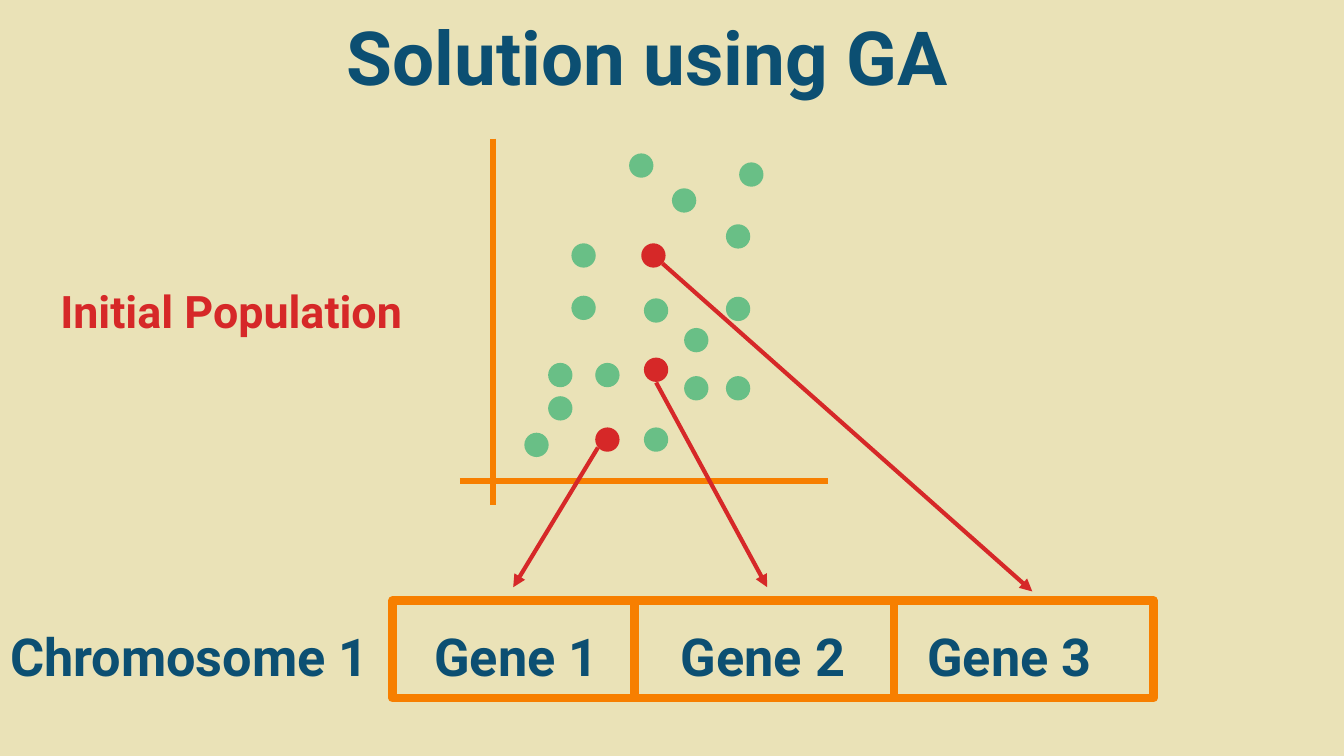
from dataclasses import dataclass

from lxml import etree
from pptx import Presentation
from pptx import util as u
from pptx.dml.color import RGBColor
from pptx.enum import shapes, text
from pptx.oxml.ns import qn


@dataclass(frozen=True)
class Theme:
    background: str = "EAE2B7"
    navy: str = "0C4F72"
    red: str = "D62828"
    green: str = "69BF86"
    orange: str = "F77F00"
    font: str = "Roboto"
    title: int = 40
    label: int = 28
    note: int = 24
    axis: float = 3
    frame: float = 4.5
    arrow: float = 2.25


T = Theme()
DOT = 0.46

# Left and top of each dot, in cm
POPULATION = [
    (9.91, 8.18), (10.36, 7.49), (10.36, 6.86), (11.25, 6.86),
    (12.17, 8.08), (12.17, 5.64), (10.8, 5.59), (10.8, 4.6),
    (12.93, 6.2), (12.93, 7.11), (13.72, 7.11), (13.72, 5.61),
    (13.72, 4.24), (12.7, 3.56), (13.97, 3.07), (11.89, 2.9),
]
SELECTED = [(11.25, 8.08), (12.17, 6.76), (12.12, 4.6)]

# Start and end of the arrow from each selected dot to its gene
GENE_ARROWS = [
    (11.3, 8.46, 9.7, 11.1),
    (12.4, 7.23, 14.5, 11.1),
    (12.52, 4.98, 19.51, 11.18),
]


def rgb(color):
    return RGBColor.from_string(color)


def add_text(s, words, box, *, size=T.label, color=T.navy):
    sp = s.shapes.add_textbox(*map(u.Cm, box))
    tf = sp.text_frame
    tf.word_wrap = True
    tf.vertical_anchor = text.MSO_ANCHOR.BOTTOM
    tf.margin_left = tf.margin_right = u.Cm(0.25)
    tf.margin_top = tf.margin_bottom = u.Cm(0.25)
    p = tf.paragraphs[0]
    p.alignment = text.PP_ALIGN.CENTER
    r = p.add_run()
    r.text = words
    r.font.name = T.font
    r.font.size = u.Pt(size)
    r.font.bold = True
    r.font.color.rgb = rgb(color)


def add_dot(s, left, top, color):
    sp = s.shapes.add_shape(shapes.MSO_SHAPE.OVAL, u.Cm(left), u.Cm(top),
                            u.Cm(DOT), u.Cm(DOT))
    sp.shadow.inherit = False
    sp.fill.solid()
    sp.fill.fore_color.rgb = rgb(color)
    sp.line.fill.background()


def add_line(s, ends, color, width, arrow=False):
    line = s.shapes.add_connector(shapes.MSO_CONNECTOR.STRAIGHT,
                                  *map(u.Cm, ends))
    line.line.color.rgb = rgb(color)
    line.line.width = u.Pt(width)
    if arrow:
        ln = line.line._get_or_add_ln()
        etree.SubElement(ln, qn("a:tailEnd"), type="triangle")
    etree.SubElement(line._element.spPr, qn("a:effectLst"))


def add_frame(s, left, top, width, height):
    sp = s.shapes.add_shape(shapes.MSO_SHAPE.RECTANGLE,
                            *map(u.Cm, (left, top, width, height)))
    sp.shadow.inherit = False
    sp.fill.background()
    sp.line.color.rgb = rgb(T.orange)
    sp.line.width = u.Pt(T.frame)
    etree.SubElement(sp.line._get_or_add_ln(), qn("a:round"))


def add_scatter(s):
    for ends in [(9.32, 2.62, 9.32, 9.55), (8.69, 9.09, 15.65, 9.09)]:
        add_line(s, ends, T.orange, T.axis)
    for dots, color in [(POPULATION, T.green), (SELECTED, T.red)]:
        for left, top in dots:
            add_dot(s, left, top, color)


def add_chromosome(s):
    top, height = 11.35, 1.85
    add_frame(s, 7.42, top, 14.38, height)
    for x in (11.99, 16.89):
        add_line(s, (x, top, x, top + height), T.orange, T.frame)
    add_text(s, "Chromosome 1", (-0.23, 11.2, 7.62, 2.03))
    for i in range(3):
        add_text(s, f"Gene {i + 1}", (6.33 + 4.66 * i, 11.2, 6.86, 2.03))


def main():
    prs = Presentation()
    prs.slide_width, prs.slide_height = u.Cm(25.4), u.Cm(14.29)
    s = prs.slides.add_slide(prs.slide_layouts[6])
    s.background.fill.solid()
    s.background.fill.fore_color.rgb = rgb(T.background)

    # Population plot and the chromosome below it
    add_scatter(s)
    add_chromosome(s)

    # Arrows from selected dots to genes
    for ends in GENE_ARROWS:
        add_line(s, ends, T.red, T.arrow, arrow=True)

    # Headings
    add_text(s, "Solution using GA", (5.92, -0.43, 12.62, 2.57), size=T.title)
    add_text(s, "Initial Population", (0.46, 5.21, 7.82, 1.42),
             size=T.note, color=T.red)

    prs.save("out.pptx")


if __name__ == "__main__":
    main()
